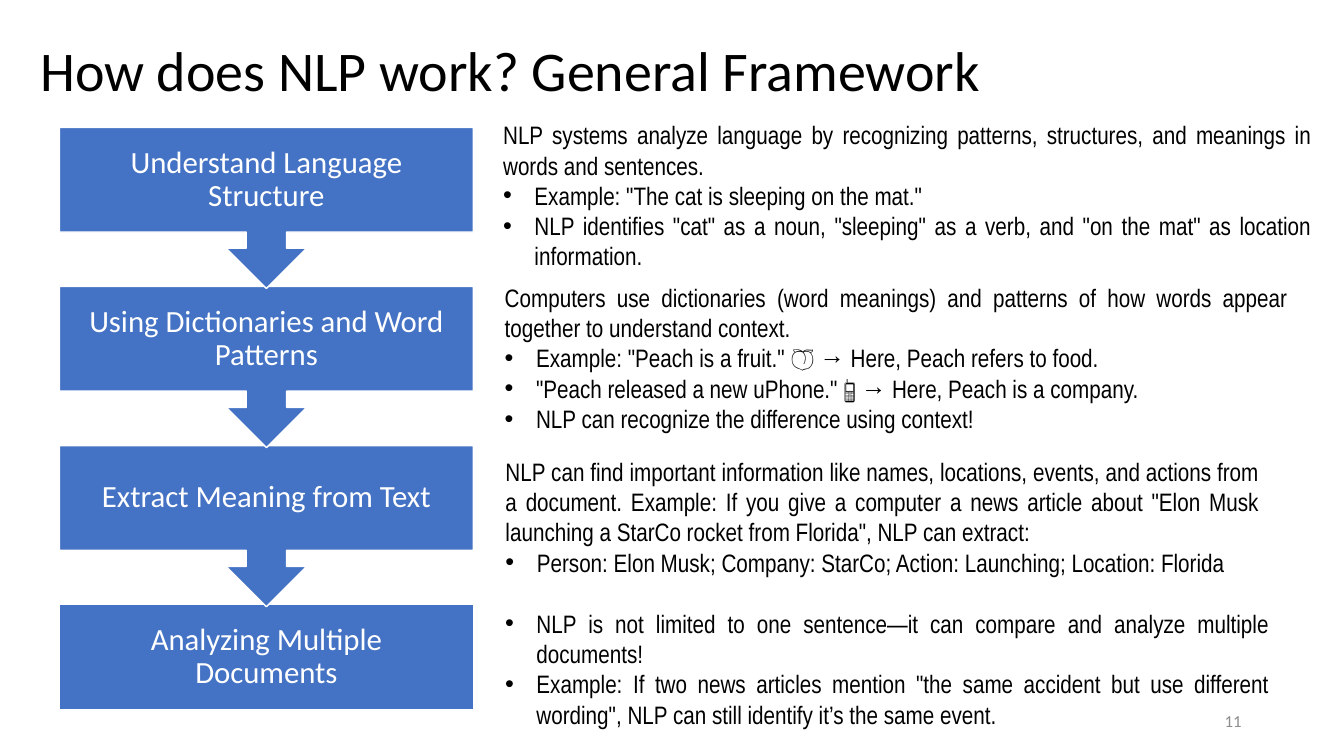
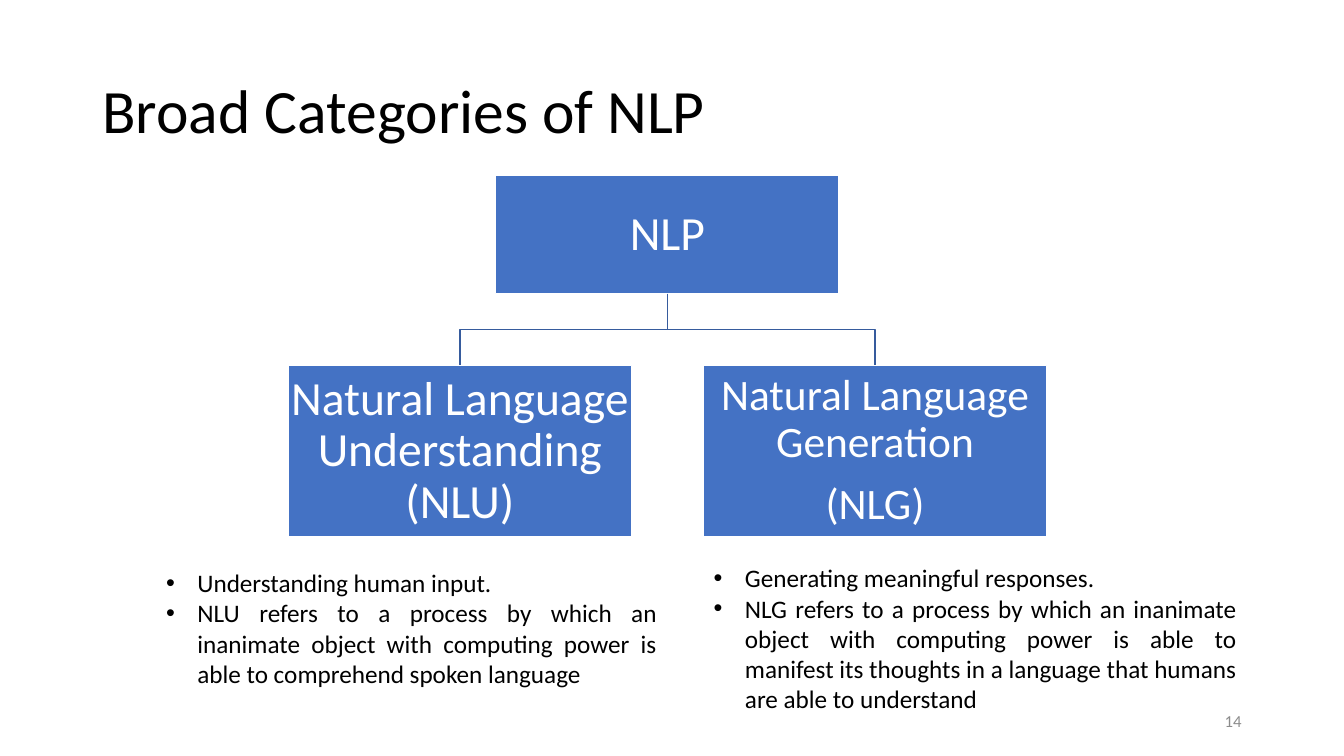
from lxml.etree import SubElement
from pptx import Presentation
from pptx.dml.color import RGBColor
from pptx.enum.shapes import MSO_SHAPE
from pptx.enum.text import MSO_ANCHOR, MSO_AUTO_SIZE, PP_ALIGN
from pptx.oxml.ns import qn
from pptx.util import Cm, Pt

COLORS = {"text": "000000", "white": "FFFFFF", "box": "4472C4",
          "line": "365B9D", "page": "8C8C8C"}

# label, (left, top, width, height) of the notes in cm, lead text, points
STEPS = [
    ("Understand Language Structure", (12.43, 2.89, 20.88, 4.1),
     ["NLP systems analyze language by recognizing patterns, structures, "
      "and meanings in words and sentences."],
     ['Example: "The cat is sleeping on the mat."',
      'NLP identifies "cat" as a noun, "sleeping" as a verb, and '
      '"on the mat" as location information.']),
    ("Using Dictionaries and Word Patterns", (12.47, 6.99, 20.24, 4.1),
     ["Computers use dictionaries (word meanings) and patterns of how words "
      "appear together to understand context."],
     ['Example: "Peach is a fruit." 🍑 → Here, Peach refers to food.',
      '"Peach released a new uPhone." 📱 → Here, Peach is a company.',
      "NLP can recognize the difference using context!"]),
    ("Extract Meaning from Text", (12.49, 11.37, 19.5, 3.33),
     ["NLP can find important information like names, locations, events, and "
      'actions from a document. Example: If you give a computer a news article '
      'about "Elon Musk launching a StarCo rocket from Florida", '
      "NLP can extract:"],
     ["Person: Elon Musk; Company: StarCo; Action: Launching; "
      "Location: Florida"]),
    ("Analyzing Multiple Documents", (12.48, 15.2, 19.76, 3.33), [],
     ["NLP is not limited to one sentence—it can compare and analyze multiple "
      "documents!",
      'Example: If two news articles mention "the same accident but use '
      'different wording", NLP can still identify it’s the same event.']),
]

# lines, text size, box left, notes place, points
BRANCHES = [
    (["Natural Language Understanding (NLU)"], 34, 7.26,
     (3.93, 14.17, 12.88, 3.33),
     ["Understanding human input.",
      "NLU refers to a process by which an inanimate object with computing "
      "power is able to comprehend spoken language"]),
    (["Natural Language Generation", "(NLG)"], 31, 17.72,
     (17.73, 14.05, 13.69, 4.1),
     ["Generating meaningful responses.",
      "NLG refers to a process by which an inanimate object with computing "
      "power is able to manifest its thoughts in a language that humans are "
      "able to understand"]),
]


def color(name):
    return RGBColor.from_string(COLORS[name])


def write(shape, lines, size=18, font="Calibri", tint="text",
          align=PP_ALIGN.JUSTIFY, anchor=MSO_ANCHOR.TOP, spacing=1.0,
          gap=0, lead=None, inset=None):
    """Fill a shape with text; lines after the first `lead` get bullets."""
    frame = shape.text_frame
    frame.word_wrap = True
    frame.auto_size = MSO_AUTO_SIZE.NONE
    frame.vertical_anchor = anchor
    if inset is not None:
        frame.margin_left = frame.margin_right = Cm(inset)
        frame.margin_top = frame.margin_bottom = Cm(inset)
    for i, line in enumerate(lines):
        par = frame.add_paragraph() if i else frame.paragraphs[0]
        par.alignment = align
        par.line_spacing = spacing
        par.space_before = Pt(gap if i else 0)
        run = par.add_run()
        run.text = line
        run.font.size = Pt(size)
        run.font.name = font
        run.font.color.rgb = color(tint)
        if lead is not None and i >= lead:
            add_bullet(par)


def add_bullet(par):
    props = par._p.get_or_add_pPr()
    props.set("marL", str(Cm(0.79)))
    props.set("indent", str(-Cm(0.79)))
    SubElement(props, qn("a:buFont")).set("typeface", "Arial")
    SubElement(props, qn("a:buChar")).set("char", "•")


def put(shape, place):
    shape.left, shape.top, shape.width, shape.height = map(Cm, place)
    return shape


def text_box(slide, place):
    return slide.shapes.add_textbox(*map(Cm, place))


def add_box(slide, kind, place, lines, size, inset):
    box = slide.shapes.add_shape(kind, *map(Cm, place))
    box.shadow.inherit = False
    box.fill.solid()
    box.fill.fore_color.rgb = color("box")
    box.line.color.rgb = color("white")
    box.line.width = Pt(1)
    write(box, lines, size, tint="white", align=PP_ALIGN.CENTER,
          anchor=MSO_ANCHOR.MIDDLE, spacing=0.9, gap=size * 0.35, inset=inset)


def add_bend(slide, points):
    """Draw an open, unfilled line through points given in cm."""
    first, *rest = [(Cm(x), Cm(y)) for x, y in points]
    pen = slide.shapes.build_freeform(*first)
    pen.add_line_segments(rest, close=False)
    bend = pen.convert_to_shape()
    bend.shadow.inherit = False
    bend.fill.background()
    bend.line.color.rgb = color("line")
    bend.line.width = Pt(1)


def new_slide(deck, layout, title, place, size, page):
    slide = deck.slides.add_slide(deck.slide_layouts.get_by_name(layout))
    write(put(slide.shapes.title, place), [title], size, align=PP_ALIGN.LEFT,
          anchor=MSO_ANCHOR.MIDDLE, spacing=0.9)
    write(text_box(slide, (23.92, 17.65, 7.62, 1.02)), [page], 12,
          tint="page", align=PP_ALIGN.RIGHT, anchor=MSO_ANCHOR.MIDDLE)
    return slide


def add_steps(deck):
    slide = new_slide(deck, "Title Only",
                      "How does NLP work? General Framework",
                      (0.76, 0, 24.84, 3.68), 40, "11")
    last = len(STEPS) - 1
    for i, (label, place, intro, points) in reversed(list(enumerate(STEPS))):
        kind, tall = MSO_SHAPE.DOWN_ARROW_CALLOUT, 4.06
        if i == last:
            kind, tall = MSO_SHAPE.RECTANGLE, 2.64
        add_box(slide, kind, (1.5, 3.21 + 4.01 * i, 10.43, tall),
                [label], 22, 0.43)
        write(text_box(slide, place), intro + points,
              font="Arial Narrow", lead=len(intro))


def add_tree(deck):
    slide = new_slide(deck, "Two Content", "Broad Categories of NLP",
                      (2.33, 1.02, 29.21, 3.68), 44, "14")
    wide, top, tall, low = 8.66, 4.43, 2.97, 9.21
    base = top + tall
    mid = (base + low) / 2
    root = sum(branch[2] for branch in BRANCHES) / len(BRANCHES)
    stem = root + wide / 2
    add_box(slide, MSO_SHAPE.RECTANGLE, (root, top, wide, tall),
            ["NLP"], 34, 0.05)
    bodies = list(slide.placeholders)[1:]
    for body, (lines, size, left, place, points) in zip(bodies, BRANCHES):
        drop = left + wide / 2
        add_bend(slide, [(stem, base), (stem, mid), (drop, mid), (drop, low)])
        add_box(slide, MSO_SHAPE.RECTANGLE, (left, low, wide, 4.32),
                lines, size, 0.05)
        write(put(body, place), points, lead=0)


def main():
    deck = Presentation()
    deck.slide_width, deck.slide_height = Cm(33.87), Cm(19.05)
    add_steps(deck)
    add_tree(deck)
    deck.save("out.pptx")


if __name__ == "__main__":
    main()
